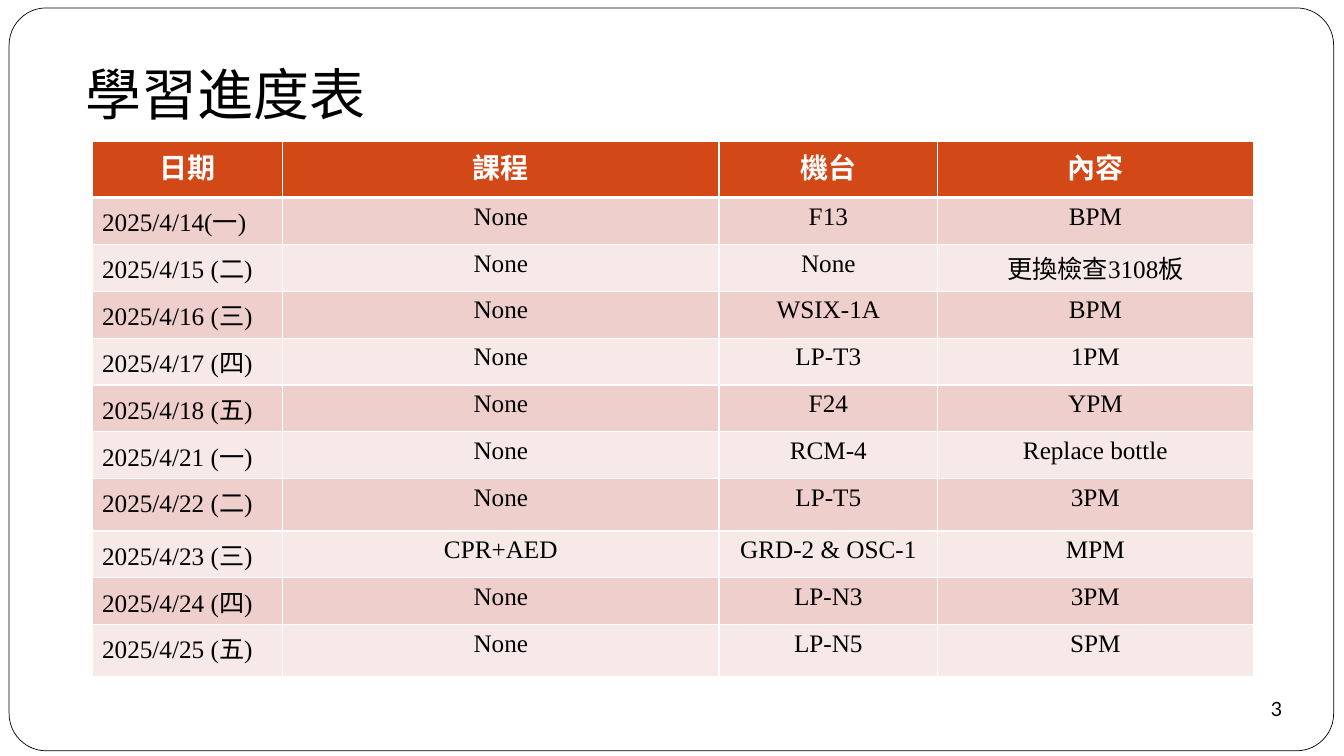
from lxml import etree
from pptx import Presentation
from pptx.dml.color import RGBColor
from pptx.enum import shapes, text
from pptx.oxml import ns
from pptx.util import Cm, Pt

BLACK = RGBColor(0x00, 0x00, 0x00)
WHITE = RGBColor(0xFF, 0xFF, 0xFF)
HEADER = RGBColor(0xD3, 0x48, 0x17)
BANDS = [RGBColor(0xF7, 0xE9, 0xE8), RGBColor(0xEF, 0xCF, 0xCC)]
LATIN, CJK = "Times New Roman", "Noto Sans CJK SC"

HEADINGS = ("日期", "課程", "機台", "內容")
SCHEDULE = [
    ("2025/4/14(一)", "None", "F13", "BPM"),
    ("2025/4/15 (二)", "None", "None", "更換檢查3108板"),
    ("2025/4/16 (三)", "None", "WSIX-1A", "BPM"),
    ("2025/4/17 (四)", "None", "LP-T3", "1PM"),
    ("2025/4/18 (五)", "None", "F24", "YPM"),
    ("2025/4/21 (一)", "None", "RCM-4", "Replace bottle"),
    ("2025/4/22 (二)", "None", "LP-T5", "3PM"),
    ("2025/4/23 (三)", "CPR+AED", "GRD-2 & OSC-1", "MPM"),
    ("2025/4/24 (四)", "None", "LP-N3", "3PM"),
    ("2025/4/25 (五)", "None", "LP-N5", "SPM"),
]
COLUMN_WIDTHS = (4.8, 11, 5.51, 7.95)
ROW_HEIGHT, TALL_ROW = 1.18, 1.32
TALL_DATES = ("2025/4/22 (二)", "2025/4/25 (五)")


def style_text(tf, latin, size, color, align, bold=False):
    p = tf.paragraphs[0]
    p.alignment = align
    for r in p.runs:
        r.font.name = latin
        r.font.size = Pt(size)
        r.font.bold = bold
        r.font.color.rgb = color
        etree.SubElement(r._r.get_or_add_rPr(), ns.qn("a:ea"), typeface=CJK)


def add_borders(cell, bottom):
    """Draw white 1 pt cell edges, with the bottom edge as wide as given."""
    tcPr = cell._tc.get_or_add_tcPr()
    for edge, width in (("L", 1), ("R", 1), ("T", 1), ("B", bottom)):
        ln = etree.SubElement(tcPr, ns.qn(f"a:ln{edge}"), w=str(Pt(width)))
        fill = etree.SubElement(ln, ns.qn("a:solidFill"))
        etree.SubElement(fill, ns.qn("a:srgbClr"), val=str(WHITE))


prs = Presentation()
prs.slide_width, prs.slide_height = Cm(33.87), Cm(19.05)
s = prs.slides.add_slide(prs.slide_layouts[5])

# Title
title = s.shapes.title
title.left, title.top, title.width, title.height = Cm(1.65), Cm(1.37), Cm(8.08), Cm(1.96)
tf = title.text_frame
tf.text = "學習進度表"
tf.vertical_anchor = text.MSO_ANCHOR.MIDDLE
tf.auto_size = text.MSO_AUTO_SIZE.NONE
style_text(tf, CJK, 40, BLACK, text.PP_ALIGN.CENTER)

# Rounded frame, behind the title
frame = s.shapes.add_shape(shapes.MSO_SHAPE.ROUNDED_RECTANGLE,
                           Cm(0.23), Cm(0.2), Cm(33.38), Cm(18.72))
frame.adjustments[0] = 0.05
frame.shadow.inherit = False
frame.fill.solid()
frame.fill.fore_color.rgb = WHITE
frame.line.color.rgb = BLACK
frame.line.width = Pt(0.5)
title.element.addprevious(frame.element)

# Page number
badge = s.shapes.add_shape(shapes.MSO_SHAPE.OVAL, Cm(31.32), Cm(17.22), Cm(1.7), Cm(1.27))
badge.shadow.inherit = False
badge.fill.solid()
badge.fill.fore_color.rgb = WHITE
badge.line.fill.background()
tf = badge.text_frame
tf.text = "3"
tf.word_wrap = False
tf.vertical_anchor = text.MSO_ANCHOR.MIDDLE
tf.margin_left = tf.margin_right = tf.margin_top = tf.margin_bottom = 0
style_text(tf, "Lato", 14, BLACK, text.PP_ALIGN.CENTER)

# Schedule table
rows = [HEADINGS] + SCHEDULE
table = s.shapes.add_table(len(rows), len(HEADINGS), Cm(2.32), Cm(3.56),
                           Cm(sum(COLUMN_WIDTHS)), Cm(13.13)).table
for column, width in zip(table.columns, COLUMN_WIDTHS):
    column.width = Cm(width)

for i, values in enumerate(rows):
    is_header = i == 0
    if is_header:
        height = 1.42
    else:
        height = TALL_ROW if values[0] in TALL_DATES else ROW_HEIGHT
    table.rows[i].height = Cm(height)
    for j, value in enumerate(values):
        cell = table.cell(i, j)
        add_borders(cell, bottom=3 if is_header else 1)
        cell.fill.solid()
        cell.fill.fore_color.rgb = HEADER if is_header else BANDS[i % 2]
        cell.text_frame.text = value
        is_date = j == 0 and not is_header
        style_text(cell.text_frame, LATIN, 20 if is_header else 18,
                   WHITE if is_header else BLACK,
                   text.PP_ALIGN.LEFT if is_date else text.PP_ALIGN.CENTER, is_header)

prs.save("out.pptx")
